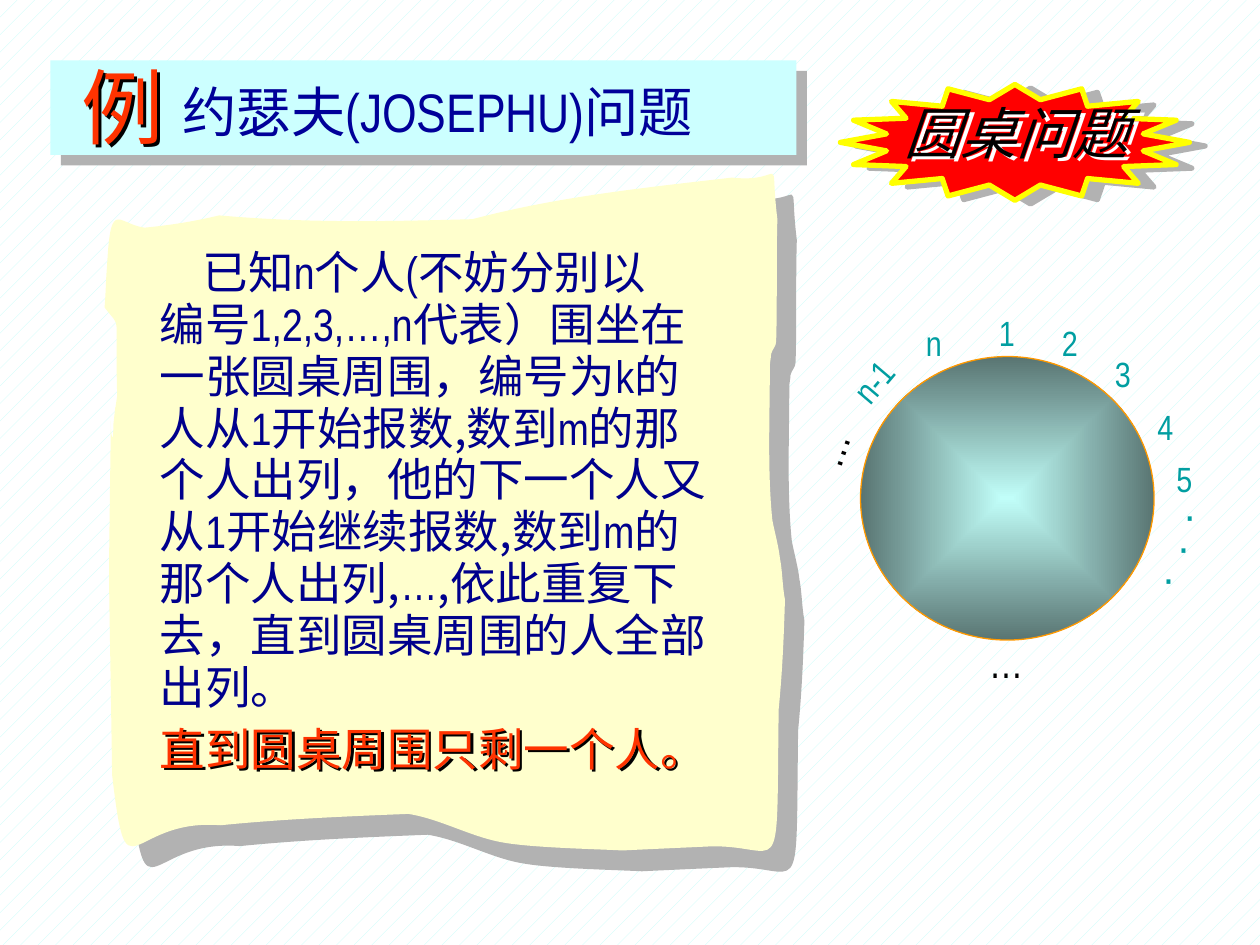
from itertools import chain, cycle

from lxml import etree
from pptx import Presentation
from pptx.dml.color import RGBColor
from pptx.enum.dml import MSO_PATTERN
from pptx.enum.shapes import MSO_SHAPE
from pptx.enum.text import MSO_ANCHOR, MSO_AUTO_SIZE, PP_ALIGN
from pptx.oxml import parse_xml
from pptx.oxml.ns import nsdecls, qn
from pptx.util import Inches, Pt

RECT, STAR, OVAL = MSO_SHAPE.RECTANGLE, MSO_SHAPE.STAR_16_POINT, MSO_SHAPE.OVAL
LEFT, CENTER = PP_ALIGN.LEFT, PP_ALIGN.CENTER
TOP, FIT = MSO_ANCHOR.TOP, MSO_AUTO_SIZE.SHAPE_TO_FIT_TEXT
PERCENT_5 = MSO_PATTERN.PERCENT_5
TITLE_ONLY = 5

COLORS = {
    "mint": "C1FEF9", "rim": "597572", "white": "FFFFFF", "paper": "FFFFCD",
    "grey": "B2B2B2", "navy": "00008C", "red": "FF0000", "yellow": "FFFF00",
    "black": "000000", "banner": "CCFFFF", "title": "000099", "accent": "FF3300",
    "orange": "FF9900", "teal": "009EA1",
}
NARROW, HAN, HAN_JP = "Arial Narrow", "Noto Sans CJK SC", "Noto Sans CJK JP"

# Colour, distance in points, angle in degrees
SHADOWS = {
    "paper": ("grey", 16.3, 47),
    "star": ("grey", 9.2, 13),
    "banner": ("grey", 8.5, 45),
    "dark text": ("black", 2, 45),
    "light text": ("white", 3, 45),
}

# Outline of the torn sheet in hundredths of an inch.
# Each curve: first control point, second control point, end point.
PAPER_START = (112, 181)
PAPER_EDGES = {
    "top": [
        [(134, 179), (153, 176), (174, 171)],
        [(242, 177), (303, 176), (375, 174)],
        [(443, 156), (512, 149), (581, 141)],
        [(625, 146), (610, 117), (617, 174)],
    ],
    "right": [
        [(616, 207), (617, 239), (616, 271)],
        [(616, 275), (613, 277), (612, 281)],
        [(612, 284), (611, 287), (611, 291)],
        [(611, 332), (609, 374), (613, 413)],
        [(615, 423), (618, 434), (619, 443)],
        [(621, 453), (621, 466), (623, 476)],
        [(622, 508), (621, 532), (618, 563)],
    ],
    "bottom": [
        [(616, 713), (623, 668), (559, 672)],
        [(537, 673), (515, 674), (494, 675)],
        [(476, 674), (425, 673), (401, 669)],
        [(375, 665), (350, 650), (324, 646)],
        [(274, 648), (225, 650), (175, 655)],
        [(101, 649), (101, 717), (89, 615)],
    ],
    "left": [
        [(86, 409), (86, 503), (88, 334)],
        [(88, 338), (88, 345), (89, 347)],
        [(90, 349), (90, 340), (90, 337)],
        [(93, 310), (90, 336), (93, 314)],
        [(91, 243), (97, 263), (83, 244)],
        [(84, 233), (84, 222), (85, 211)],
        [(88, 153), (94, 181), (119, 181)],
    ],
}

# A bar switches between Chinese and Latin runs
STORY = [
    "已知|n|个人|(|不妨分别以",
    "编号|1,2,3,…,n|代表）围坐在",
    "一张圆桌周围，编号为|k|的",
    "人从|1|开始报数,数到|m|的那",
    "个人出列，他的下一个人又",
    "从|1|开始继续报数,数到|m|的",
    "那个人出列,|…|,依此重复下",
    "去，直到圆桌周围的人全部",
    "出列。",
]
STORY_BOX = (0.75, 1.92, 5.75, 3.82)
STORY_MARGIN, STORY_INDENT = 0.42, 0.34

# Labels around the table: text, left, top, rotation
SEAT_GROUPS = [
    {"width": 0.5, "height": 0.43, "format": {"size": 20, "color": "teal"},
     "labels": [("1", 7.83, 2.42, 0), ("2", 8.33, 2.5, 0), ("3", 8.75, 2.75, 0),
                ("n", 7.25, 2.5, 0)]},
    {"width": 0.34, "height": 0.43,
     "format": {"size": 20, "color": "teal", "wrap": False, "align": CENTER},
     "labels": [("4", 9.08, 3.17, 0), ("5", 9.23, 3.58, 0)]},
    {"width": 0.28, "height": 0.5, "format": {"size": 24, "color": "teal", "wrap": False},
     "labels": [("·", 9.3, 3.83, 0), ("·", 9.25, 4.08, 0), ("·", 9.13, 4.33, 0)]},
    {"width": 0.95, "height": 0.43, "format": {"size": 20, "color": "teal"},
     "labels": [("n-1", 6.59, 2.65, 310.4)]},
    {"width": 0.72, "height": 0.5, "format": {"size": 24, "color": "black"},
     "labels": [("…", 7.75, 5, 0), ("…", 6.27, 3.19, 288.9)]},
]


def rgb(name):
    return RGBColor.from_string(COLORS[name])


def set_shadow(sp, name):
    """Cast the named shadow; a shape without fill casts it from its text."""
    color, distance, angle = SHADOWS[name]
    sp.shadow.inherit = False
    effects = sp._element.spPr.find(qn("a:effectLst"))
    effects.append(parse_xml(
        f'<a:outerShdw {nsdecls("a")} dist="{Pt(distance)}" dir="{angle * 60000}" '
        f'algn="ctr" rotWithShape="0"><a:srgbClr val="{COLORS[color]}"/></a:outerShdw>'))


def style_shape(sp, fill, line=None, shadow=None):
    """Set the fill, the (colour, width) line and the named shadow."""
    sp.fill.solid()
    sp.fill.fore_color.rgb = rgb(fill)
    if line:
        color, width = line
        sp.line.color.rgb, sp.line.width = rgb(color), Pt(width)
    else:
        sp.line.fill.background()
    if shadow:
        set_shadow(sp, shadow)
    else:
        sp.shadow.inherit = False


def add_shape(s, kind, box, **style):
    sp = s.shapes.add_shape(kind, *map(Inches, box))
    style_shape(sp, **style)
    return sp


def add_paper(s):
    """Build the sheet from straight steps, then join each three into one curve."""
    curves = list(chain.from_iterable(PAPER_EDGES.values()))
    builder = s.shapes.build_freeform(*PAPER_START, scale=Inches(0.01))
    builder.add_line_segments(chain.from_iterable(curves), close=True)
    sp = builder.convert_to_shape()
    style_shape(sp, "paper", shadow="paper")
    path = next(sp._element.iter(qn("a:path")))
    steps = iter(path.findall(qn("a:lnTo")))
    for triple in zip(steps, steps, steps):
        curve = etree.Element(qn("a:cubicBezTo"))
        triple[0].addprevious(curve)
        for step in triple:
            curve.append(step[0])
            path.remove(step)


def add_round_table(s):
    """Draw the table with a gradient that darkens from its centre to its rim."""
    sp = add_shape(s, OVAL, (6.83, 2.83, 2.33, 2.25), fill="mint", line=("orange", 0.75))
    stops = "".join(f'<a:gs pos="{pos}"><a:srgbClr val="{COLORS[name]}"/></a:gs>'
                    for pos, name in ((0, "mint"), (100000, "rim")))
    spPr = sp._element.spPr
    spPr.replace(spPr.find(qn("a:solidFill")), parse_xml(
        f'<a:gradFill rotWithShape="0" {nsdecls("a")}><a:gsLst>{stops}</a:gsLst>'
        '<a:path path="shape"><a:fillToRect l="50000" t="50000" r="50000" b="50000"/>'
        '</a:path></a:gradFill>'))


def add_run(p, text, size, color, font=NARROW, italic=None):
    r = p.add_run()
    r.text = text
    for name, value in {"size": Pt(size), "name": font, "italic": italic}.items():
        setattr(r.font, name, value)
    r.font.color.rgb = rgb(color)
    east_asian = etree.Element(qn("a:ea"), typeface=NARROW)
    r.font._element.find(qn("a:latin")).addnext(east_asian)


def set_frame(tf, wrap=True):
    for name, value in {"word_wrap": wrap, "auto_size": FIT, "vertical_anchor": TOP}.items():
        setattr(tf, name, value)


def fill_label(sp, text, wrap=True, align=LEFT, shadow=None, **font):
    set_frame(sp.text_frame, wrap)
    p = sp.text_frame.paragraphs[0]
    p.alignment = align
    add_run(p, text, **font)
    if shadow:
        sp.fill.background()
        set_shadow(sp, shadow)


def add_label(s, text, box, rotation=0, **label):
    sp = s.shapes.add_textbox(*map(Inches, box))
    sp.rotation = rotation
    fill_label(sp, text, **label)


def add_title(s, text, box, **label):
    sp = s.shapes.title
    sp.left, sp.top, sp.width, sp.height = map(Inches, box)
    fill_label(sp, text, **label)
    s.shapes._spTree.append(sp._element)  # in front of the banner


def add_story(s):
    tf = s.shapes.add_textbox(*map(Inches, STORY_BOX)).text_frame
    set_frame(tf)
    for i, line in enumerate(STORY):
        p = tf.add_paragraph() if i else tf.paragraphs[0]
        p.level, p.line_spacing = 1, 0.95
        pPr = p._p.get_or_add_pPr()
        pPr.set("marL", str(Inches(STORY_MARGIN)))
        pPr.set("indent", str(Inches(0 if i else STORY_INDENT)))
        for text, font in zip(line.split("|"), cycle((HAN, NARROW))):
            add_run(p, text, 26, "navy", font)


def add_seats(s):
    for group in SEAT_GROUPS:
        for text, left, top, rotation in group["labels"]:
            box = (left, top, group["width"], group["height"])
            add_label(s, text, box, rotation, **group["format"])


def set_background(s):
    fill = s.background.fill
    fill.patterned()
    fill.pattern = PERCENT_5
    fill.fore_color.rgb, fill.back_color.rgb = rgb("mint"), rgb("white")


def main():
    prs = Presentation()
    prs.slide_width, prs.slide_height = Inches(10), Inches(7.5)
    s = prs.slides.add_slide(prs.slide_layouts[TITLE_ONLY])
    set_background(s)
    add_paper(s)
    add_story(s)
    star = add_shape(s, STAR, (6.67, 0.67, 2.77, 0.92), fill="red", line=("yellow", 3), shadow="star")
    star.adjustments[0] = 0.375
    add_label(s, "圆桌问题", (7.08, 0.73, 2.33, 0.64), size=32, color="black", italic=True, shadow="light text")
    add_shape(s, RECT, (0.4, 0.48, 5.92, 0.75), fill="banner", shadow="banner")
    add_title(s, "约瑟夫(JOSEPHU)问题", (1.35, 0.57, 5.4, 0.62), size=31, color="title")
    add_label(s, "例", (0.55, 0.4, 0.85, 0.88), wrap=False, size=47, color="accent", font=HAN_JP, shadow="dark text")
    add_label(s, "直到圆桌周围只剩一个人。", (1.17, 5.67, 4.89, 0.53), size=26, color="accent", shadow="dark text")
    add_round_table(s)
    add_seats(s)
    prs.save("out.pptx")


if __name__ == "__main__":
    main()
